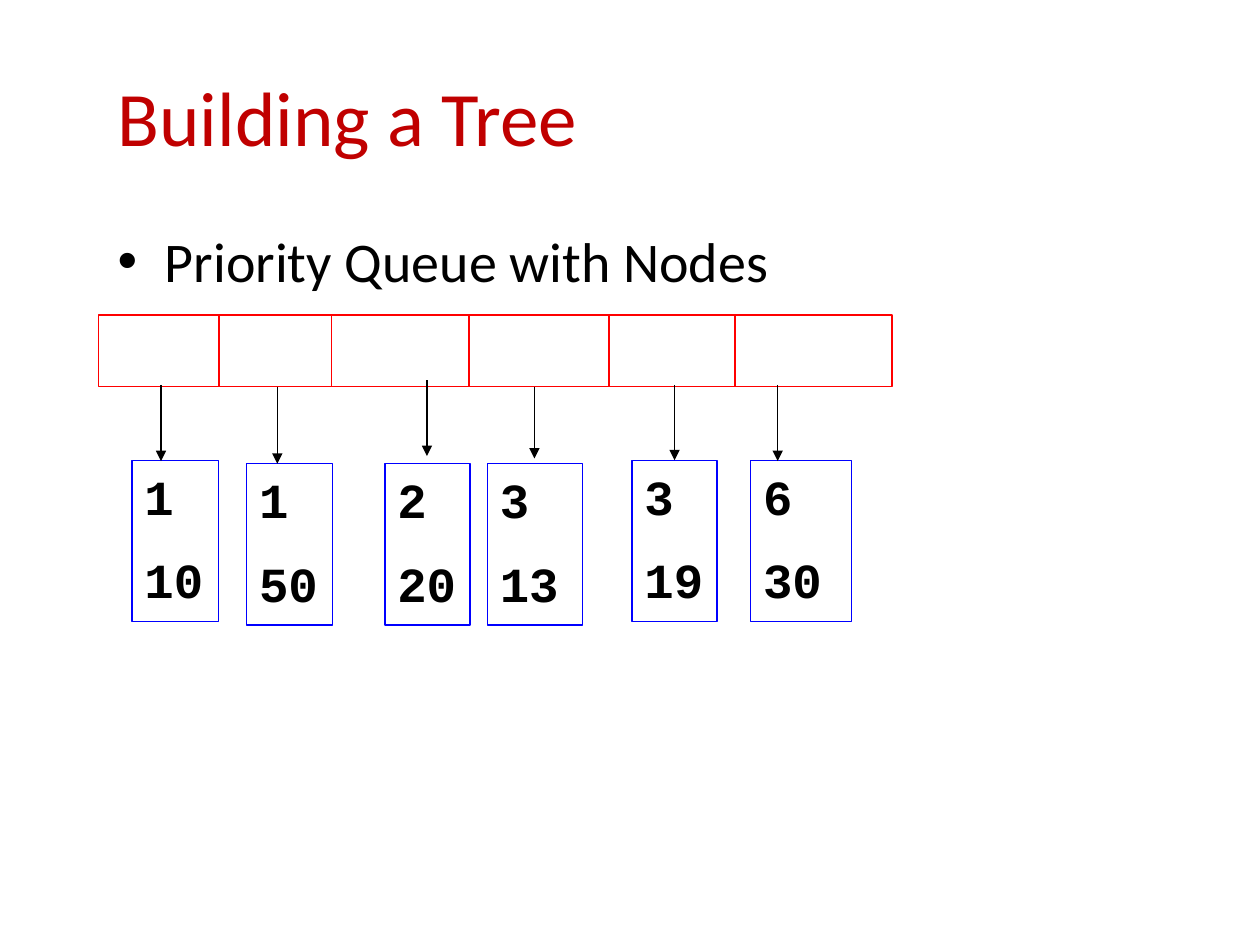
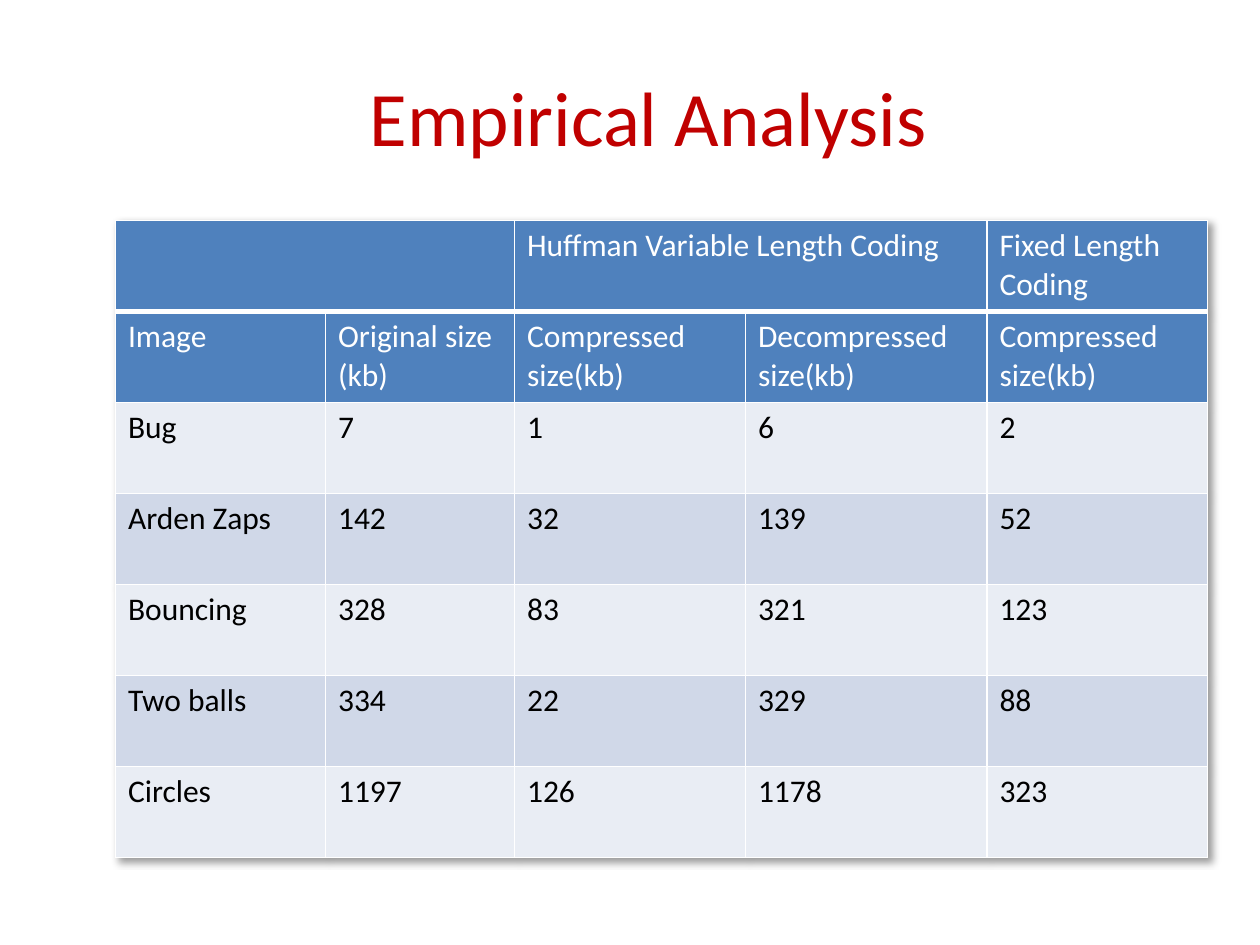
from dataclasses import dataclass
from typing import NamedTuple

from lxml.etree import SubElement
from pptx import Presentation
from pptx.dml.color import RGBColor
from pptx.enum.shapes import MSO_CONNECTOR, MSO_SHAPE
from pptx.enum.text import MSO_ANCHOR, MSO_AUTO_SIZE, PP_ALIGN
from pptx.oxml import parse_xml
from pptx.oxml.ns import nsdecls, qn
from pptx.util import Pt


@dataclass(frozen=True)
class TextStyle:
    size: float
    color: str
    font: str = "Calibri"
    bold: bool = False


@dataclass(frozen=True)
class Theme:
    title: TextStyle = TextStyle(44, "C00000")
    bullet: TextStyle = TextStyle(32, "000000")
    node: TextStyle = TextStyle(28, "000000", "Courier New", True)
    table_head: TextStyle = TextStyle(18, "FFFFFF")
    table_body: TextStyle = TextStyle(18, "000000")
    queue_line: str = "FF0000"
    node_line: str = "0000FF"
    arrow: str = "000000"
    white: str = "FFFFFF"
    head_fill: str = "4F81BD"
    row_fills: tuple[str, str] = ("E9EDF4", "D0D8E8")
    line_width: float = 0.75


class Box(NamedTuple):
    left: float
    top: float
    width: float
    height: float

    def lengths(self) -> list[int]:
        return [Pt(value) for value in self]


class QueueNode(NamedTuple):
    value: str
    frequency: str
    left: float
    top: float
    width: float
    arrow_x: float
    arrow_top: float
    arrow_tip: float


THEME = Theme()
TITLE_BOX = Box(60, 21, 636, 90)
BODY_BOX = Box(60, 126, 636, 338.4)

QUEUE_BOX = Box(56.2, 180, 453.6, 41)
QUEUE_DIVIDERS = (125.2, 189.5, 268, 348, 420)
NODE_HEIGHT = 92.2
NODES = (
    QueueNode("1", "10", 75.5, 263, 49.5, 92, 220, 263.5),
    QueueNode("1", "50", 141, 265, 49, 158.5, 221, 265),
    QueueNode("2", "20", 220, 265, 48.6, 244, 217.4, 260.6),
    QueueNode("3", "13", 278.6, 265, 54.2, 305.4, 221, 262),
    QueueNode("3", "19", 361.2, 263, 48.6, 385.5, 220, 263),
    QueueNode("6", "30", 429, 263, 57.5, 444.4, 220, 263.5),
)

TABLE_LEFT, TABLE_TOP, ROW_HEIGHT = 66, 126, 52
COLUMN_WIDTHS = (120, 108, 132, 138, 126)
HEAD_ROWS = (
    ("", "", "Huffman Variable Length Coding", "", "Fixed Length\nCoding"),
    ("Image", "Original size\n(kb)", "Compressed size(kb)",
     "Decompressed size(kb)", "Compressed size(kb)"),
)
IMAGE_ROWS = (
    ("Bug", "7", "1", "6", "2"),
    ("Arden Zaps", "142", "32", "139", "52"),
    ("Bouncing", "328", "83", "321", "123"),
    ("Two balls", "334", "22", "329", "88"),
    ("Circles", "1197", "126", "1178", "323"),
)


def rgb(color: str) -> RGBColor:
    return RGBColor.from_string(color)


def add_run(paragraph, text: str, style: TextStyle) -> None:
    run = paragraph.add_run()
    run.text = text
    run.font.name = style.font
    run.font.size = Pt(style.size)
    run.font.bold = style.bold
    run.font.color.rgb = rgb(style.color)


def add_paragraphs(frame, texts, style: TextStyle) -> None:
    for index, text in enumerate(texts):
        paragraph = frame.add_paragraph() if index else frame.paragraphs[0]
        paragraph.alignment = PP_ALIGN.LEFT
        add_run(paragraph, text, style)


def place(shape, box: Box) -> None:
    shape.left, shape.top, shape.width, shape.height = box.lengths()


def add_titled_slide(deck, layout_index: int, title: str, indent: float = 0):
    slide = deck.slides.add_slide(deck.slide_layouts[layout_index])
    heading = slide.shapes.title
    place(heading, TITLE_BOX)
    heading.text_frame.vertical_anchor = MSO_ANCHOR.MIDDLE
    heading.text_frame.margin_left = Pt(7.2 + indent)
    add_paragraphs(heading.text_frame, [title], THEME.title)
    return slide


def add_rectangle(slide, box: Box, line: str, fill: str | None = None):
    rectangle = slide.shapes.add_shape(MSO_SHAPE.RECTANGLE, *box.lengths())
    rectangle.shadow.inherit = False
    rectangle.line.color.rgb = rgb(line)
    rectangle.line.width = Pt(THEME.line_width)
    if fill:
        rectangle.fill.solid()
        rectangle.fill.fore_color.rgb = rgb(fill)
    else:
        rectangle.fill.background()
    return rectangle


def add_vertical_line(slide, x: float, top: float, bottom: float, color: str,
                      arrow: bool = False):
    line = slide.shapes.add_connector(
        MSO_CONNECTOR.STRAIGHT, Pt(x), Pt(top), Pt(x), Pt(bottom))
    line.line.color.rgb = rgb(color)
    line.line.width = Pt(THEME.line_width)
    if arrow:
        SubElement(line.line._get_or_add_ln(), qn("a:tailEnd"), type="triangle")
    SubElement(line._element.spPr, qn("a:effectLst"))
    return line


def add_node(slide, node: QueueNode) -> None:
    box = Box(node.left, node.top, node.width, NODE_HEIGHT)
    card = add_rectangle(slide, box, THEME.node_line)
    frame = card.text_frame
    frame.word_wrap = True
    frame.auto_size = MSO_AUTO_SIZE.SHAPE_TO_FIT_TEXT
    frame.vertical_anchor = MSO_ANCHOR.TOP
    add_paragraphs(frame, [node.value, node.frequency], THEME.node)
    for paragraph in frame.paragraphs:
        spacing = SubElement(paragraph._p.get_or_add_pPr(), qn("a:spcBef"))
        SubElement(spacing, qn("a:spcPct"), val="50000")

    arrow = add_vertical_line(slide, node.arrow_x, node.arrow_top,
                              node.arrow_tip, THEME.arrow, arrow=True)
    centred = abs(node.arrow_x - node.left - node.width / 2) < 0.5
    if centred and node.arrow_tip == node.top:
        arrow.end_connect(card, 0)


def build_queue_slide(deck) -> None:
    slide = add_titled_slide(deck, 1, "Building a Tree")
    body = slide.placeholders[1]
    place(body, BODY_BOX)
    add_paragraphs(body.text_frame, ["Priority Queue with Nodes"], THEME.bullet)

    add_rectangle(slide, QUEUE_BOX, THEME.queue_line, THEME.white)
    for x in QUEUE_DIVIDERS:
        add_vertical_line(slide, x, QUEUE_BOX.top,
                          QUEUE_BOX.top + QUEUE_BOX.height, THEME.queue_line)
    for node in NODES:
        add_node(slide, node)


def format_cell(cell, fill: str, bottom_width: float) -> None:
    properties = cell._tc.get_or_add_tcPr()
    for side, width in (("L", 1), ("R", 1), ("T", 1), ("B", bottom_width)):
        border = SubElement(properties, qn(f"a:ln{side}"), w=str(Pt(width)))
        solid = SubElement(border, qn("a:solidFill"))
        SubElement(solid, qn("a:srgbClr"), val=THEME.white)
    cell.fill.solid()
    cell.fill.fore_color.rgb = rgb(fill)


def add_table_shadow(table) -> None:
    table._tbl.tblPr.insert(0, parse_xml(
        f'<a:effectLst {nsdecls("a")}>'
        f'<a:outerShdw blurRad="{Pt(4)}" dist="{Pt(3)}" dir="2700000" '
        'algn="tl" rotWithShape="0"><a:srgbClr val="000000">'
        '<a:alpha val="40000"/></a:srgbClr></a:outerShdw></a:effectLst>'))


def build_analysis_slide(deck) -> None:
    slide = add_titled_slide(deck, 5, "Empirical Analysis", indent=144)
    rows = HEAD_ROWS + IMAGE_ROWS
    box = Box(TABLE_LEFT, TABLE_TOP, sum(COLUMN_WIDTHS), ROW_HEIGHT * len(rows))
    table = slide.shapes.add_table(
        len(rows), len(COLUMN_WIDTHS), *box.lengths()).table
    table.first_row = table.horz_banding = False
    add_table_shadow(table)
    for column, width in zip(table.columns, COLUMN_WIDTHS):
        column.width = Pt(width)
    for first in (0, 2):
        table.cell(0, first).merge(table.cell(0, first + 1))

    for row_index, texts in enumerate(rows):
        is_head = row_index < len(HEAD_ROWS)
        style = THEME.table_head if is_head else THEME.table_body
        fill = THEME.head_fill if is_head else THEME.row_fills[row_index % 2]
        for column_index, text in enumerate(texts):
            cell = table.cell(row_index, column_index)
            format_cell(cell, fill, bottom_width=1 if row_index else 3)
            if text:
                add_paragraphs(cell.text_frame, text.split("\n"), style)


def main() -> None:
    deck = Presentation()
    deck.slide_width, deck.slide_height = Pt(720), Pt(540)
    build_queue_slide(deck)
    build_analysis_slide(deck)
    deck.save("out.pptx")


if __name__ == "__main__":
    main()
